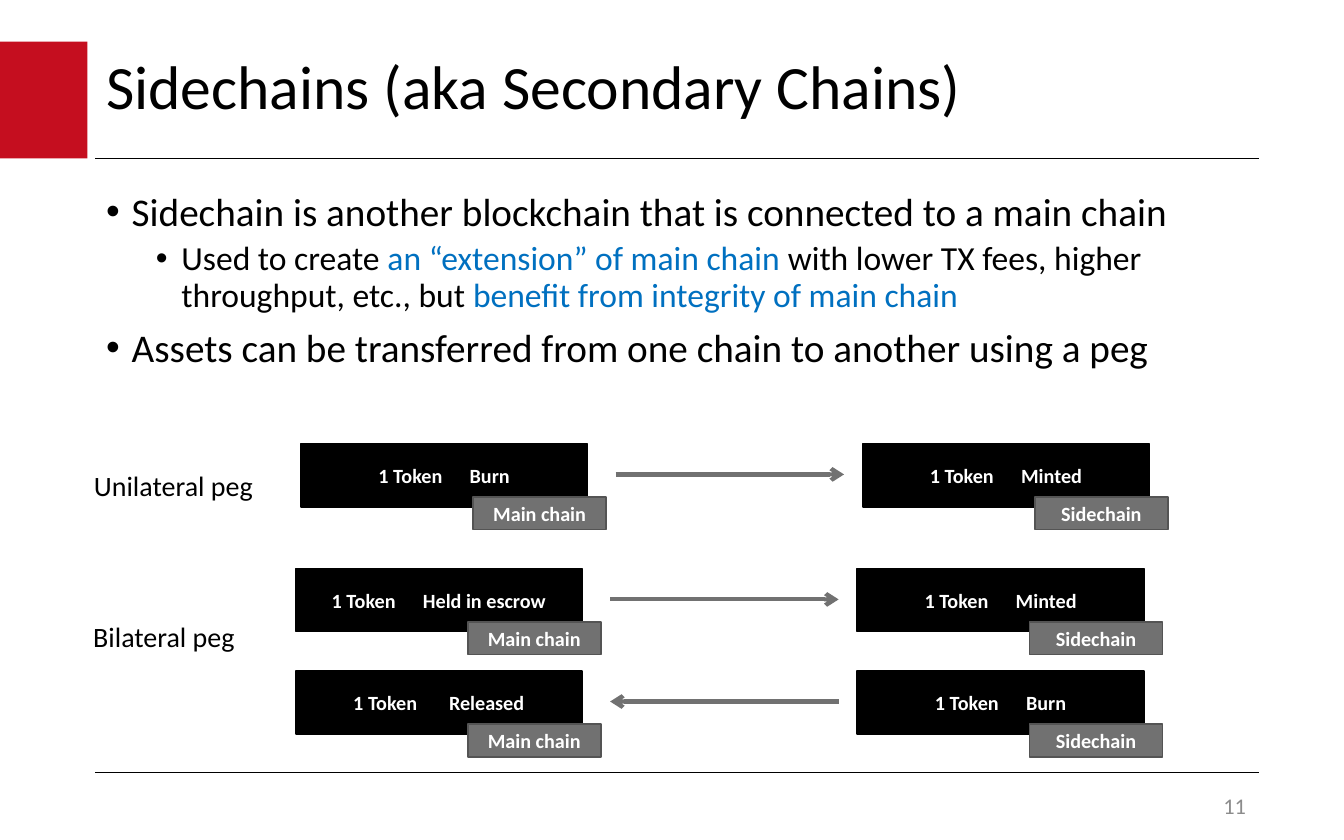
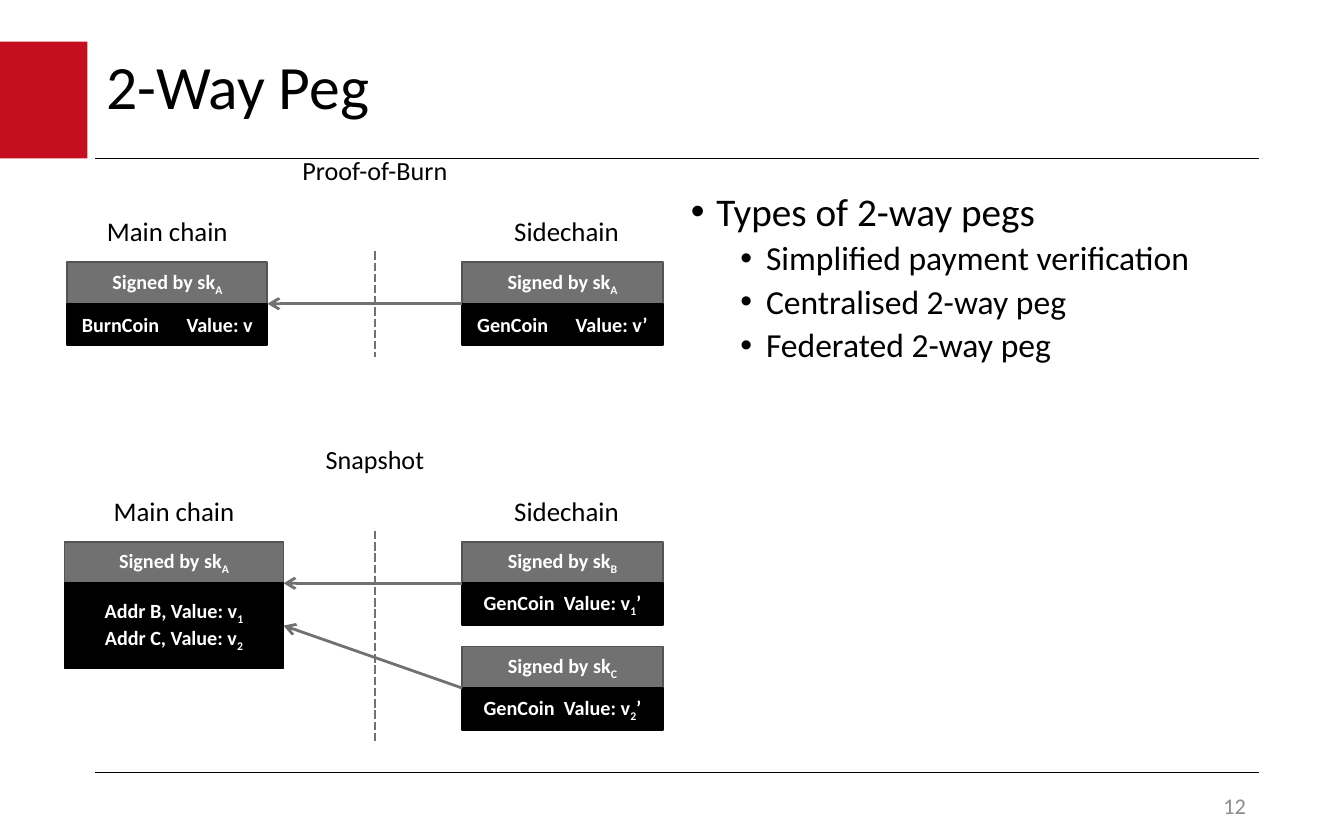
from dataclasses import dataclass
from typing import NamedTuple

from lxml.etree import SubElement
from pptx import Presentation
from pptx.dml.color import RGBColor as Rgb
from pptx.enum.dml import MSO_LINE as Dash
from pptx.enum.shapes import MSO_CONNECTOR as Wire, MSO_SHAPE as Form
from pptx.enum.text import MSO_ANCHOR as Anchor, MSO_AUTO_SIZE as Fit, PP_ALIGN as Align
from pptx.oxml.ns import qn
from pptx.util import Inches, Pt

FONT = "Calibri"
HUES = {
    "red": "C50E1F", "black": "000000", "white": "FFFFFF", "blue": "0070C0",
    "gray": "717171", "edge": "545454", "pale": "8C8C8C",
}
SPACE = 2.44
BAR = 0.31
RIGHT = 3.44
MID = 2.79


class Bit(NamedTuple):
    text: str
    hue: str = ""
    sub: bool = False
    gap: float = 0


class Item(NamedTuple):
    level: int
    bits: list[Bit]


class Area(NamedTuple):
    left: float
    top: float
    width: float
    height: float


class Style(NamedTuple):
    size: float
    hue: str = "black"
    bold: bool = False
    align: Align = Align.CENTER


@dataclass
class Trade:
    left: float
    top: float
    main: str
    side: str
    count: int = 6
    back: bool = False


@dataclass
class Stack:
    left: float
    top: float
    width: float
    key: str
    lines: list[list[Bit]]
    depth: float = BAR


BOX = Style(10.8, "white", True)
NOTE = Style(14)
HEAD = Style(14.4)
PEG = Style(15)


def color(name: str) -> Rgb:
    return Rgb.from_string(HUES[name])


def write(para, bits: list[Bit], style: Style) -> None:
    para.alignment = style.align
    for bit in bits:
        run = para.add_run()
        run.text = bit.text
        font = run.font
        font.name, font.size, font.bold = FONT, Pt(style.size), style.bold
        font.color.rgb = color(bit.hue or style.hue)
        props = run._r.get_or_add_rPr()
        if bit.sub:
            props.set("baseline", "-25000")
        if bit.gap:
            props.set("spc", str(round(bit.gap * 100)))


def spread(first: str, last: str, count: int = 6) -> list[Bit]:
    return [Bit(first), Bit(" ", gap=(count - 1) * SPACE), Bit(last)]


def fill_text(frame, lines: list[list[Bit]], style: Style) -> None:
    for i, bits in enumerate(lines):
        para = frame.add_paragraph() if i else frame.paragraphs[0]
        write(para, bits, style)


def add_box(slide, area: Area, hue: str, edge: str = "", lines: list[list[Bit]] = ()):
    box = slide.shapes.add_shape(Form.RECTANGLE, *map(Inches, area))
    box.shadow.inherit = False
    box.fill.solid()
    box.fill.fore_color.rgb = color(hue)
    if edge:
        box.line.color.rgb = color(edge)
        box.line.width = Pt(1)
    else:
        box.line.fill.background()
    frame = box.text_frame
    frame.word_wrap = True
    frame.vertical_anchor = Anchor.MIDDLE
    frame.margin_left = frame.margin_right = Inches(0.05)
    fill_text(frame, lines, BOX)
    return box


def add_label(slide, text: str, area: Area, style: Style, anchor: Anchor = Anchor.TOP) -> None:
    frame = slide.shapes.add_textbox(*map(Inches, area)).text_frame
    frame.word_wrap = False
    frame.vertical_anchor = anchor
    write(frame.paragraphs[0], [Bit(text)], style)


def add_line(slide, start: tuple[float, float], end: tuple[float, float], hue: str,
             width: float, arrow: bool = False, dashed: bool = False):
    line = slide.shapes.add_connector(Wire.STRAIGHT, *map(Inches, start + end))
    line.line.color.rgb = color(hue)
    line.line.width = Pt(width)
    if dashed:
        line.line.dash_style = Dash.SQUARE_DOT
    props = line._element.spPr
    if arrow:
        SubElement(props.find(qn("a:ln")), qn("a:tailEnd"), type="arrow")
    SubElement(props, qn("a:effectLst"))
    return line


def place(shape, area: Area):
    shape.left, shape.top, shape.width, shape.height = map(Inches, area)
    frame = shape.text_frame
    frame.word_wrap = True
    frame.auto_size = Fit.NONE
    frame.margin_left = frame.margin_right = Inches(0.08)
    frame.margin_top = frame.margin_bottom = Inches(0.04)
    return frame


def add_list(frame, items: list[Item]) -> None:
    frame.vertical_anchor = Anchor.TOP
    for i, item in enumerate(items):
        para = frame.add_paragraph() if i else frame.paragraphs[0]
        para.level = item.level
        props = para._p.get_or_add_pPr()
        props.set("marL", str(Inches((0.19, 0.56)[item.level])))
        props.set("indent", str(Inches(-0.19)))
        SubElement(props, qn("a:buChar"), char="•")
        para.line_spacing = 0.9
        para.space_before = Pt((7.5, 3.8)[item.level] if i else 0)
        write(para, item.bits, Style((21, 18)[item.level], align=Align.LEFT))


def add_slide(deck, title: str, number: int, area: Area, items: list[Item]):
    slide = deck.slides.add_slide(deck.slide_layouts[1])
    add_box(slide, Area(0, 0.31, 0.65, 0.87), "red")
    for y in (1.18, 5.75):
        add_line(slide, (0.71, y), (9.37, y), "black", 0.75)
    frame = place(slide.shapes.title, Area(0.71, 0.31, 7.25, 0.71))
    frame.vertical_anchor = Anchor.MIDDLE
    frame.paragraphs[0].line_spacing = 0.9
    write(frame.paragraphs[0], [Bit(title)], Style(33, align=Align.LEFT))
    add_list(place(slide.placeholders[1], area), items)
    add_label(slide, str(number), Area(7.34, 5.87, 2.03, 0.25),
              Style(12, "pale", align=Align.RIGHT), Anchor.MIDDLE)
    return slide


def add_trade(slide, trade: Trade) -> None:
    left, top = trade.left, trade.top
    sides = (
        (left, trade.main, "Main chain", trade.count),
        (left + 4.18, trade.side, "Sidechain", 6),
    )
    for x, state, chain, count in sides:
        add_box(slide, Area(x, top, 2.13, 0.47), "black", "black",
                [spread("1 Token", state, count)])
        add_box(slide, Area(x + 1.28, top + 0.4, 0.99, 0.24), "gray", "edge", [[Bit(chain)]])
    ends = [(left + 2.34, top + 0.23), (left + 4.04, top + 0.23)]
    if trade.back:
        ends.reverse()
    add_line(slide, *ends, "gray", 2.25, arrow=True)


def add_stack(slide, stack: Stack):
    left, top, width = stack.left, stack.top, stack.width
    add_box(slide, Area(left, top, width, BAR), "gray", "edge",
            [[Bit("Signed by sk"), Bit(stack.key, sub=True)]])
    return add_box(slide, Area(left, top + BAR, width, stack.depth), "black", "black", stack.lines)


def add_panel(slide, name: str, name_top: float, main: Stack, sides: list[Stack], bottom: float):
    add_label(slide, name, Area(MID - 0.65, name_top, 1.3, 0.34), NOTE)
    top = main.top
    add_label(slide, "Main chain", Area(main.left, top - 0.4, main.width, 0.34), HEAD)
    add_label(slide, "Sidechain", Area(3.72, top - 0.4, 0.99, 0.34), HEAD)
    base = add_stack(slide, main)
    for side in sides:
        add_stack(slide, side)
    add_line(slide, (MID, top - 0.08), (MID, bottom), "gray", 1.5, dashed=True)
    add_line(slide, (RIGHT, top + BAR), (main.left + main.width, top + BAR),
             "gray", 1.5, arrow=True)
    return base


def coin(sub: str) -> list[Bit]:
    return [*spread("GenCoin", "Value: v", 2), Bit(sub, sub=True), Bit("’")]


def draw_chains(deck) -> None:
    items = [
        Item(0, [Bit("Sidechain is another blockchain that is connected to a main chain")]),
        Item(1, [
            Bit("Used to create "),
            Bit("an “extension” of main chain", "blue"),
            Bit(" with lower TX fees, higher throughput, etc., but "),
            Bit("benefit from integrity of main chain", "blue"),
        ]),
        Item(0, [Bit("Assets can be transferred from one chain to another using a peg")]),
    ]
    slide = add_slide(deck, "Sidechains (aka Secondary Chains)", 11,
                      Area(0.71, 1.39, 8.65, 4.04), items)
    for trade in (
        Trade(2.24, 3.3, "Burn", "Minted"),
        Trade(2.2, 4.23, "Held in escrow", "Minted"),
        Trade(2.2, 4.99, "Released", "Burn", 7, True),
    ):
        add_trade(slide, trade)
    add_label(slide, "Unilateral peg", Area(0.59, 3.44, 1.4, 0.35), PEG)
    add_label(slide, "Bilateral peg", Area(0.59, 4.56, 1.26, 0.35), PEG)


def draw_pegs(deck) -> None:
    kinds = ("Simplified payment verification", "Centralised 2-way peg", "Federated 2-way peg")
    items = [Item(0, [Bit("Types of 2-way pegs")])]
    items += [Item(1, [Bit(kind)]) for kind in kinds]
    slide = add_slide(deck, "2-Way Peg", 12, Area(5.06, 1.39, 4.66, 3.91), items)

    burn = Stack(0.5, 1.95, 1.49, "A", [spread("BurnCoin", "Value: v")])
    mint = Stack(RIGHT, 1.95, 1.49, "A", [spread("GenCoin", "Value: v’")])
    add_panel(slide, "Proof-of-Burn", 1.1, burn, [mint], 2.66)

    lines = [[Bit(f"Addr {who}, Value: v"), Bit(sub, sub=True)]
             for who, sub in (("B", "1"), ("C", "2"))]
    shot = Stack(0.48, 4.03, 1.63, "A", lines, 0.63)
    sides = [Stack(RIGHT, top, 1.49, key, [coin(sub)])
             for top, key, sub in ((4.03, "B", "1"), (4.81, "C", "2"))]
    base = add_panel(slide, "Snapshot", 3.25, shot, sides, 5.52)
    link = add_line(slide, (RIGHT, sides[1].top + BAR), (2.11, 4.66), "gray", 1.5, arrow=True)
    link.end_connect(base, 3)


def main() -> None:
    deck = Presentation()
    deck.slide_width, deck.slide_height = Inches(10), Inches(6.25)
    draw_chains(deck)
    draw_pegs(deck)
    deck.save("out.pptx")


if __name__ == "__main__":
    main()
